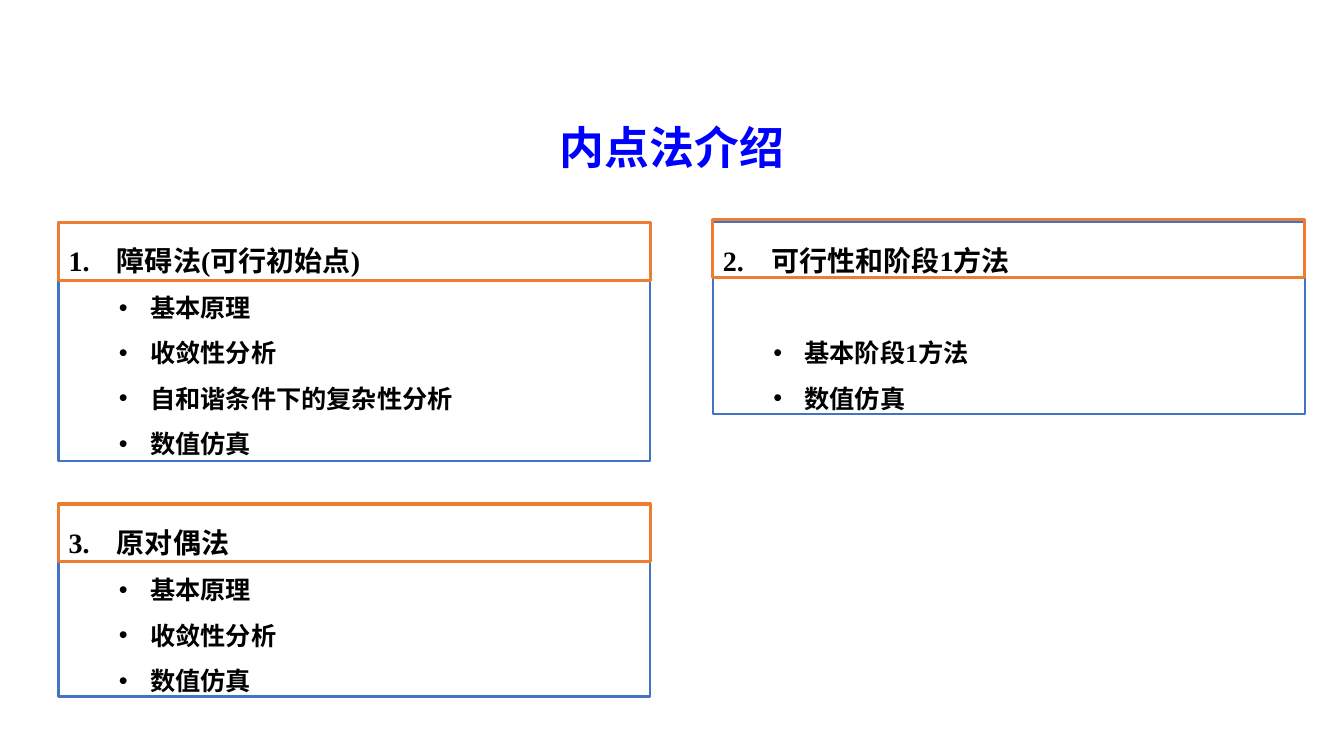
import pptx
import pptx.dml.color
import pptx.enum.text
import pptx.enum.shapes
import pptx.oxml.ns
import pptx.util
import lxml.etree

Inches, Pt = pptx.util.Inches, pptx.util.Pt
RGBColor = pptx.dml.color.RGBColor

THEME = {
    "title": {"size": Pt(32), "color": RGBColor(0x00, 0x00, 0xFF)},
    "heading": {"size": Pt(20), "color": RGBColor(0x00, 0x00, 0x00)},
    "item": {"size": Pt(18), "color": RGBColor(0x00, 0x00, 0x00)},
    "card": {"width": Pt(1.5), "color": RGBColor(0x44, 0x72, 0xC4)},
    "band": {"width": Pt(2.25), "color": RGBColor(0xED, 0x7D, 0x31)},
}
COLUMNS = (0.58, 7.07)
ROWS = (2.2, 5.0)
CARD_WIDTH, BAND_HEIGHT = 5.87, 0.57
LINE_PITCH = Pt(32.4)

# column, row, card height, band top, blank lines above the items, heading, items
SECTIONS = [
    (0, 0, 2.37, 2.21, 0, "1.\t障碍法(可行初始点)",
     ["基本原理", "收敛性分析", "自和谐条件下的复杂性分析", "数值仿真"]),
    (0, 1, 1.91, 5.0, 0, "3.\t原对偶法", ["基本原理", "收敛性分析", "数值仿真"]),
    (1, 0, 1.91, 2.18, 1, "2.\t可行性和阶段1方法", ["基本阶段1方法", "数值仿真"]),
]


def format_frame(shape, left, top, width, height, line=None):
    """Place a shape and give it an unfilled frame with an optional outline."""
    box = {"left": left, "top": top, "width": width, "height": height}
    for name, value in box.items():
        setattr(shape, name, Inches(value))
    shape.fill.background()
    if line:
        shape.line.color.rgb = line["color"]
        shape.line.width = line["width"]


def write_paragraph(paragraph, text, style, indent=0, hanging=0, bullet=None, **formats):
    """Write one styled paragraph with its hanging indent and bullet."""
    run = paragraph.add_run()
    run.text = text
    for name, value in {"name": "Times New Roman", "size": style["size"], "bold": True}.items():
        setattr(run.font, name, value)
    run.font.color.rgb = style["color"]
    for name, value in {"space_before": Pt(0), "space_after": Pt(0), **formats}.items():
        setattr(paragraph, name, value)
    properties = paragraph._p.get_or_add_pPr()
    properties.set("marL", str(Inches(indent)))
    properties.set("indent", str(-Inches(hanging)))
    if bullet:
        font = lxml.etree.SubElement(properties, pptx.oxml.ns.qn("a:buFont"))
        font.set("typeface", "Arial")
        mark = lxml.etree.SubElement(properties, pptx.oxml.ns.qn("a:buChar"))
        mark.set("char", bullet)
    else:
        lxml.etree.SubElement(properties, pptx.oxml.ns.qn("a:buNone"))


presentation = pptx.Presentation()
presentation.slide_width, presentation.slide_height = Inches(13.33), Inches(7.5)
slide = presentation.slides.add_slide(presentation.slide_layouts.get_by_name("Comparison"))
title, *bodies = slide.placeholders
for unused in bodies[len(SECTIONS):]:
    unused.element.getparent().remove(unused.element)

frame_format = {
    "auto_size": pptx.enum.text.MSO_AUTO_SIZE.NONE,
    "vertical_anchor": pptx.enum.text.MSO_ANCHOR.TOP,
    "word_wrap": True,
}
for placeholder in [title, *bodies[:len(SECTIONS)]]:
    for name, value in frame_format.items():
        setattr(placeholder.text_frame, name, value)

format_frame(title, 3.33, 1.14, 6.67, 0.64)
write_paragraph(title.text_frame.paragraphs[0], "内点法介绍", THEME["title"],
                alignment=pptx.enum.text.PP_ALIGN.CENTER)

for body, section in zip(bodies, SECTIONS):
    column, row, height, band_top, blank_lines, heading, items = section
    left = COLUMNS[column]
    format_frame(body, left, ROWS[row], CARD_WIDTH, height, THEME["card"])
    write_paragraph(body.text_frame.paragraphs[0], heading, THEME["heading"],
                    indent=0.48, hanging=0.48, line_spacing=1.5)
    for position, item in enumerate(items):
        gap = LINE_PITCH * blank_lines if position == 0 else 0
        write_paragraph(body.text_frame.add_paragraph(), item, THEME["item"],
                        indent=0.81, hanging=0.31, bullet="•",
                        level=1, line_spacing=1.5, space_before=int(gap))

    band = slide.shapes.add_shape(pptx.enum.shapes.MSO_SHAPE.RECTANGLE, 0, 0, 0, 0)
    band.shadow.inherit = False
    format_frame(band, left, band_top, CARD_WIDTH, BAND_HEIGHT, THEME["band"])

presentation.save("out.pptx")
